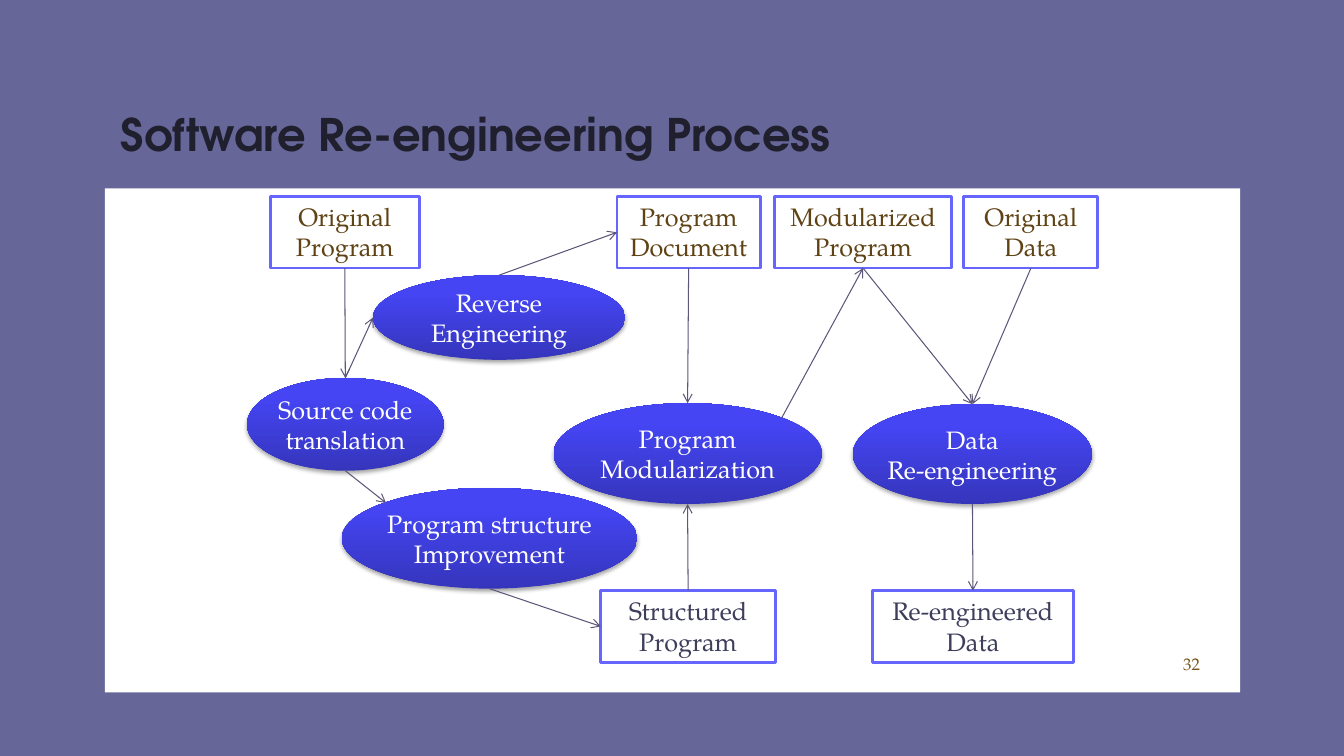
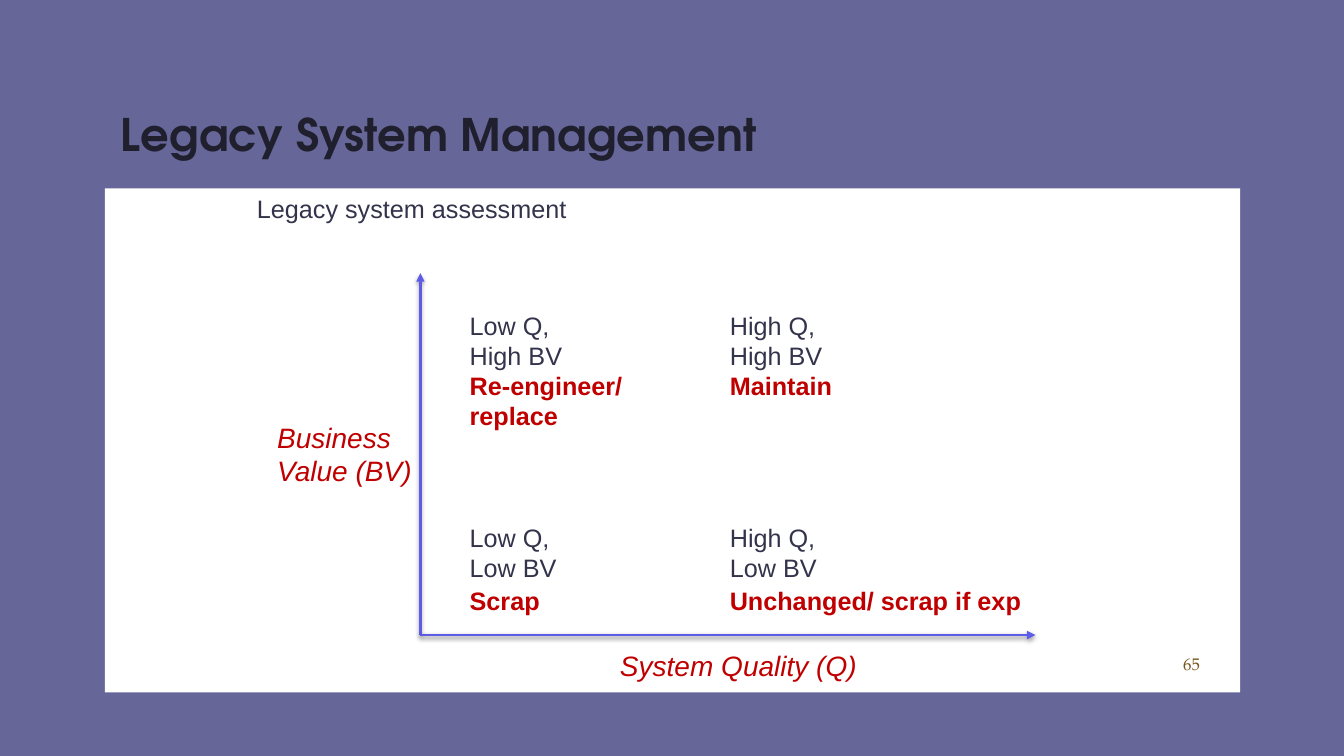
import collections

import pptx
import pptx.dml.color
import pptx.enum.shapes
import pptx.enum.text
import pptx.oxml
import pptx.oxml.ns
import pptx.util

Inches = pptx.util.Inches
Pt = pptx.util.Pt
RGBColor = pptx.dml.color.RGBColor
SHAPE = pptx.enum.shapes.MSO_SHAPE
ALIGN = pptx.enum.text.PP_ALIGN
ANCHOR = pptx.enum.text.MSO_ANCHOR
Box = collections.namedtuple("Box", "left top width height")

BACKDROP = RGBColor(0x66, 0x66, 0x99)
WHITE = RGBColor(0xFF, 0xFF, 0xFF)
TITLE_INK = RGBColor(0x1F, 0x1F, 0x2E)
NUMBER_INK = RGBColor(0x79, 0x55, 0x1B)
SOURCE_INK = RGBColor(0x5F, 0x43, 0x15)
RESULT_INK = RGBColor(0x3E, 0x3E, 0x5C)
BODY_INK = RGBColor(0x33, 0x33, 0x4C)
RED = RGBColor(0xC0, 0x00, 0x00)
OUTLINE = RGBColor(0x66, 0x66, 0xFF)
ARROW = RGBColor(0x5D, 0x56, 0x79)
AXIS = RGBColor(0x5C, 0x5C, 0xE7)
OVAL_BOTTOM = RGBColor(0x35, 0x35, 0xBC)
OVAL_TOP = RGBColor(0x45, 0x45, 0xF4)

TITLE_FONT = "TeX Gyre Adventor"
SERIF = "TeX Gyre Pagella"
SANS = "Arial"

TITLE_BOX = Box(1.1, 0.83, 11.19, 1)
PANEL = Box(1.04, 1.87, 11.26, 5)
PAGE_NUMBER = Box(8.4, 4.57, 2.56, 0.42)

TOP_ROW, BOTTOM_ROW, DATA_HEIGHT = 0.08, 3.99, 0.71
DATA_ITEMS = [
    ("Original Program", 1.64, TOP_ROW, 1.48, SOURCE_INK),
    ("Program Document", 5.08, TOP_ROW, 1.42, SOURCE_INK),
    ("Modularized Program", 6.64, TOP_ROW, 1.76, SOURCE_INK),
    ("Original Data", 8.52, TOP_ROW, 1.33, SOURCE_INK),
    ("Structured Program", 4.92, BOTTOM_ROW, 1.73, RESULT_INK),
    ("Re-engineered Data", 7.61, BOTTOM_ROW, 2, RESULT_INK),
]
ACTIVITIES = [
    ("Source code\ntranslation", Box(1.41, 1.88, 1.95, 0.92)),
    ("Program structure\nImprovement", Box(2.35, 2.97, 2.93, 1)),
    ("Reverse\nEngineering", Box(2.66, 0.86, 2.5, 0.84)),
    ("Program\nModularization", Box(4.45, 2.13, 2.66, 1)),
    ("Data\nRe-engineering", Box(7.42, 2.14, 2.37, 0.99)),
]
FLOWS = [
    ("Original Program", "bottom", "Source code\ntranslation", "top"),
    ("Source code\ntranslation", "top", "Reverse\nEngineering", "left"),
    ("Source code\ntranslation", "bottom",
     "Program structure\nImprovement", "upper left"),
    ("Reverse\nEngineering", "top", "Program Document", "left"),
    ("Program structure\nImprovement", "bottom", "Structured Program", "left"),
    ("Program Document", "bottom", "Program\nModularization", "top"),
    ("Structured Program", "top", "Program\nModularization", "bottom"),
    ("Program\nModularization", "upper right", "Modularized Program", "bottom"),
    ("Modularized Program", "bottom", "Data\nRe-engineering", "top"),
    ("Data\nRe-engineering", "bottom", "Re-engineered Data", "top"),
    ("Original Data", "bottom", "Data\nRe-engineering", "top"),
]
SITES = {
    "top": (0.5, 0), "left": (0, 0.5), "bottom": (0.5, 1), "right": (1, 0.5),
    "upper left": (0.15, 0.15), "upper right": (0.85, 0.15),
}
SIDES = {"top": 0, "left": 1, "bottom": 2, "right": 3}

LOW_Q, HIGH_Q = 3.52, 6.1
HIGH_BV, LOW_BV = 1.16, 3.26
QUADRANTS = [
    (LOW_Q, HIGH_BV, "Low Q,\nHigh BV", 0.59, "Re-engineer/ replace", 1.88, 0.71),
    (HIGH_Q, HIGH_BV, "High Q,\nHigh BV", 0.59, "Maintain", 1.72, 0.4),
    (LOW_Q, LOW_BV, "Low Q,\nLow BV", 0.63, "Scrap", 1.02, 0.4),
    (HIGH_Q, LOW_BV, "High Q,\nLow BV", 0.63, "Unchanged/ scrap if exp", 3.13, 0.4),
]


def inside(area, part):
    """Return the part's box moved from the area's corner to the slide's."""
    return Box(area.left + part.left, area.top + part.top, part.width, part.height)


def lengths(box):
    """Return a box's four numbers as lengths."""
    return [Inches(number) for number in box]


def write(frame, text, size, font, ink, align=ALIGN.LEFT, bold=False, italic=False):
    """Fill a text frame, one paragraph to a line, in one style."""
    frame.text = text
    for paragraph in frame.paragraphs:
        paragraph.alignment = align
        paragraph.font.size = Pt(size)
        paragraph.font.name = font
        paragraph.font.color.rgb = ink
        paragraph.font.bold = bold
        paragraph.font.italic = italic


def add_label(slide, box, text, size=18, font=SANS, ink=BODY_INK, wrap=True, **style):
    """Add a text box."""
    frame = slide.shapes.add_textbox(*lengths(box)).text_frame
    frame.word_wrap = wrap
    write(frame, text, size, font, ink, **style)


def cast_shadow(effects, opacity, distance):
    """Put a soft downward shadow in an effect list."""
    effects.append(pptx.oxml.parse_xml(
        f'<a:outerShdw {pptx.oxml.ns.nsdecls("a")} blurRad="{Pt(3.1)}" '
        f'dist="{Pt(distance)}" dir="5400000" rotWithShape="0">'
        f'<a:srgbClr val="000000"><a:alpha val="{opacity * 1000}"/></a:srgbClr>'
        '</a:outerShdw>'))


def add_arrow(slide, start, end, color, width, head):
    """Draw a straight arrow and return it with its empty effect list."""
    arrow = slide.shapes.add_connector(
        pptx.enum.shapes.MSO_CONNECTOR.STRAIGHT, *start, *end)
    arrow.line.color.rgb = color
    arrow.line.width = Pt(width)
    properties = arrow.element.spPr
    namespace = pptx.oxml.ns.nsdecls("a")
    properties.find(pptx.oxml.ns.qn("a:ln")).append(
        pptx.oxml.parse_xml(f'<a:tailEnd {namespace} type="{head}"/>'))
    effects = pptx.oxml.parse_xml(f'<a:effectLst {namespace}/>')
    properties.append(effects)
    return arrow, effects


def add_frame(deck, title, number):
    """Add a slide with its title, white panel and page number."""
    slide = deck.slides.add_slide(deck.slide_layouts[5])
    heading = slide.shapes.title
    heading.left, heading.top, heading.width, heading.height = lengths(TITLE_BOX)
    heading.text_frame.vertical_anchor = ANCHOR.MIDDLE
    write(heading.text_frame, title, 32, TITLE_FONT, TITLE_INK, bold=True)
    panel = slide.shapes.add_shape(SHAPE.RECTANGLE, *lengths(PANEL))
    panel.shadow.inherit = False
    panel.fill.solid()
    panel.fill.fore_color.rgb = WHITE
    panel.line.fill.background()
    add_label(slide, inside(PANEL, PAGE_NUMBER), number, 12, SERIF, NUMBER_INK,
              align=ALIGN.RIGHT)
    return slide


def add_data_item(slide, box, text, ink):
    """Add an outlined rectangle for a program or data item."""
    item = slide.shapes.add_shape(SHAPE.RECTANGLE, *lengths(box))
    item.shadow.inherit = False
    item.fill.solid()
    item.fill.fore_color.rgb = WHITE
    item.line.color.rgb = OUTLINE
    item.line.width = Pt(2)
    item.text_frame.word_wrap = True
    item.text_frame.vertical_anchor = ANCHOR.TOP
    write(item.text_frame, text, 18, SERIF, ink, ALIGN.CENTER)
    return item


def add_activity(slide, box, text):
    """Add a shaded oval for a process step."""
    oval = slide.shapes.add_shape(SHAPE.OVAL, *lengths(box))
    oval.shadow.inherit = False
    cast_shadow(oval.element.spPr.find(pptx.oxml.ns.qn("a:effectLst")), 35, 1.8)
    oval.line.fill.background()
    oval.fill.gradient()
    oval.fill.gradient_angle = 90
    stops = zip(oval.fill.gradient_stops, (0, 0.8), (OVAL_BOTTOM, OVAL_TOP))
    for stop, position, color in stops:
        stop.position = position
        stop.color.rgb = color
    oval.text_frame.word_wrap = False
    oval.text_frame.vertical_anchor = ANCHOR.MIDDLE
    write(oval.text_frame, text, 18, SERIF, WHITE, ALIGN.CENTER)
    return oval


def site_point(node, site):
    """Return the point of a named site on a node's edge."""
    across, down = SITES[site]
    return (int(node.left + node.width * across), int(node.top + node.height * down))


def add_flow(slide, source, source_site, target, target_site):
    """Draw an arrow between two nodes, joined where sides allow."""
    arrow, _ = add_arrow(slide, site_point(source, source_site),
                         site_point(target, target_site), ARROW, 0.75, "arrow")
    ends = [(arrow.begin_connect, source, source_site),
            (arrow.end_connect, target, target_site)]
    for connect, node, site in ends:
        if site == "top" or node.auto_shape_type == SHAPE.RECTANGLE:
            connect(node, SIDES[site])


def add_process(slide, area):
    """Draw the re-engineering process in an area."""
    nodes = {}
    for text, left, top, width, ink in DATA_ITEMS:
        box = inside(area, Box(left, top, width, DATA_HEIGHT))
        nodes[text] = add_data_item(slide, box, text, ink)
    for text, box in ACTIVITIES:
        nodes[text] = add_activity(slide, inside(area, box), text)
    for source, source_site, target, target_site in FLOWS:
        add_flow(slide, nodes[source], source_site, nodes[target], target_site)


def add_assessment(slide, area):
    """Draw the legacy assessment matrix in an area."""
    add_label(slide, inside(area, Box(1.41, 0, 3.3, 0.4)),
              "Legacy system assessment", wrap=False)
    left, top = area.left + 3.13, area.top + 0.84
    right, bottom = area.left + 9.23, area.top + 4.43
    for end in ((left, top), (right, bottom)):
        _, effects = add_arrow(slide, lengths((left, bottom)), lengths(end),
                               AXIS, 2, "triangle")
        cast_shadow(effects, 38, 1.6)
    for text, box in (("Business Value (BV)", Box(1.61, 2.25, 1.63, 0.77)),
                      ("System Quality (Q)", Box(5.01, 4.51, 2.88, 0.44))):
        add_label(slide, inside(area, box), text, 20, ink=RED, italic=True)
    for column, row, condition, drop, advice, width, height in QUADRANTS:
        add_label(slide, inside(area, Box(column, row, 1.42, 0.71)), condition)
        add_label(slide, inside(area, Box(column, row + drop, width, height)),
                  advice, ink=RED, bold=True)


def main():
    """Build and save the deck."""
    deck = pptx.Presentation()
    deck.slide_width, deck.slide_height = Inches(13.33), Inches(7.5)
    backdrop = deck.slide_master.background.fill
    backdrop.solid()
    backdrop.fore_color.rgb = BACKDROP
    add_process(add_frame(deck, "Software Re-engineering Process", "32"), PANEL)
    add_assessment(add_frame(deck, "Legacy System Management", "65"), PANEL)
    deck.save("out.pptx")


if __name__ == "__main__":
    main()
